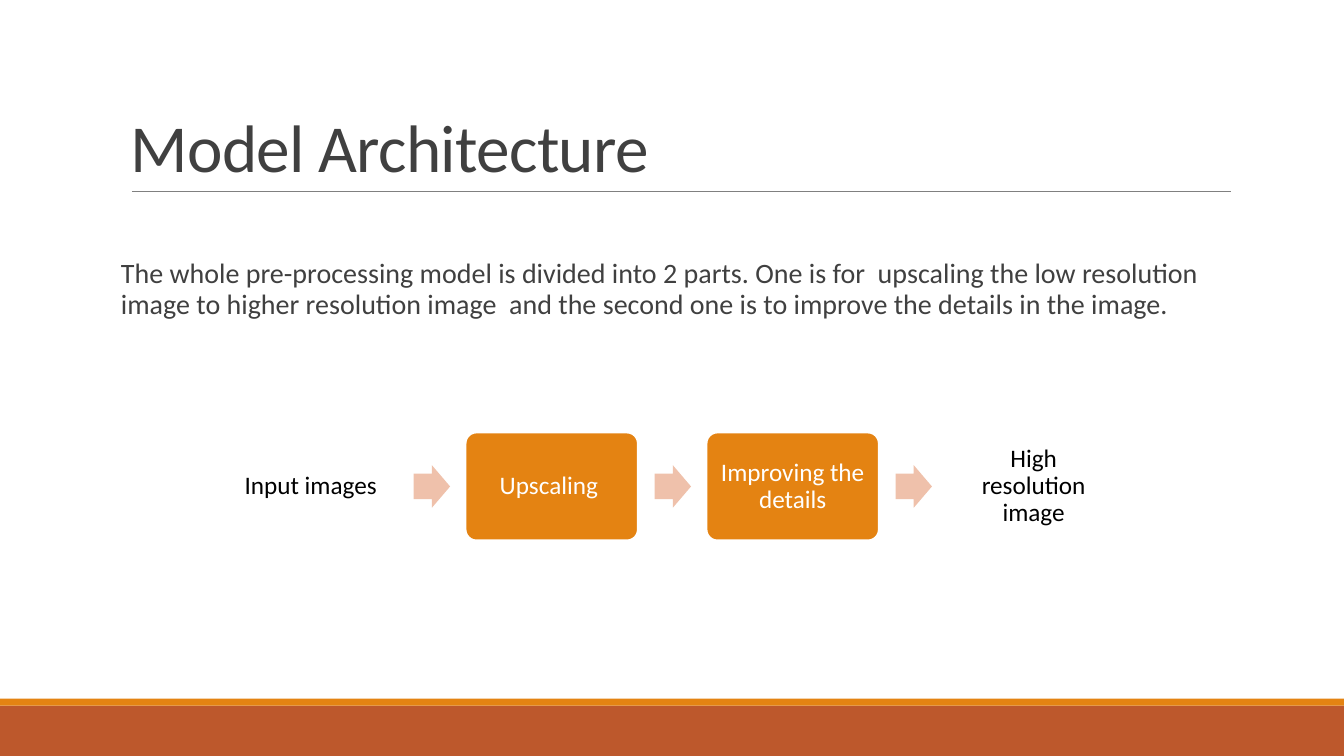
from pptx import Presentation
from pptx.dml.color import RGBColor
from pptx.enum.shapes import MSO_CONNECTOR, MSO_SHAPE
from pptx.enum.text import MSO_ANCHOR, PP_ALIGN
from pptx.oxml.ns import qn
from pptx.util import Pt
from lxml import etree

RECTANGLE = MSO_SHAPE.RECTANGLE
ROUNDED = MSO_SHAPE.ROUNDED_RECTANGLE
RIGHT_ARROW = MSO_SHAPE.RIGHT_ARROW
STRAIGHT = MSO_CONNECTOR.STRAIGHT
TOP, MIDDLE, BOTTOM = MSO_ANCHOR.TOP, MSO_ANCHOR.MIDDLE, MSO_ANCHOR.BOTTOM
LEFT, CENTER = PP_ALIGN.LEFT, PP_ALIGN.CENTER

FONT = "Calibri"
COLORS = {
    "white": "FFFFFF",
    "black": "000000",
    "text": "404040",
    "rule": "808080",
    "orange": "E48312",
    "rust": "BD582C",
    "arrow": "EFC1AB",
}
SLIDE_WIDTH, SLIDE_HEIGHT = 960, 540

STEPS = [
    ("Input images", "white", "black"),
    ("Upscaling ", "orange", "white"),
    ("Improving the details", "orange", "white"),
    ("High resolution image", "white", "black"),
]
STEP_LEFT, STEP_TOP, STEP_WIDTH, STEP_HEIGHT = 160.5, 309, 123, 77
STEP_PITCH = 172.1
ARROW_OFFSET, ARROW_WIDTH, ARROW_HEIGHT = 135, 26, 30.4


def color(name):
    return RGBColor.from_string(COLORS[name])


class SlideBuilder:
    """Draws styled elements on one slide, with lengths in points."""

    def __init__(self, slide):
        self.slide = slide

    def shape(self, kind, left, top, width, height, fill, outline=None):
        shape = self.slide.shapes.add_shape(
            kind, Pt(left), Pt(top), Pt(width), Pt(height))
        shape.shadow.inherit = False
        shape.fill.solid()
        shape.fill.fore_color.rgb = color(fill)
        if outline:
            shape.line.color.rgb = color(outline)
            shape.line.width = Pt(1.25)
        else:
            shape.line.fill.background()
        return shape

    def line(self, left, right, y):
        connector = self.slide.shapes.add_connector(
            STRAIGHT, Pt(left), Pt(y), Pt(right), Pt(y))
        connector.line.color.rgb = color("rule")
        connector.line.width = Pt(0.5)
        etree.SubElement(connector._element.spPr, qn("a:effectLst"))

    def label(self, shape, text, size, text_color, align=LEFT, anchor=TOP,
              insets=(7.2, 3.6), line_spacing=0.9):
        """Fills a shape with one paragraph; insets are (sides, top and bottom)."""
        frame = shape.text_frame
        frame.word_wrap = True
        frame.vertical_anchor = anchor
        frame.margin_left = frame.margin_right = Pt(insets[0])
        frame.margin_top = frame.margin_bottom = Pt(insets[1])
        paragraph = frame.paragraphs[0]
        paragraph.text = text
        paragraph.alignment = align
        paragraph.line_spacing = line_spacing
        paragraph.font.name = FONT
        paragraph.font.size = Pt(size)
        paragraph.font.color.rgb = color(text_color)
        return paragraph

    def text(self, left, top, width, height, *content, **style):
        box = self.slide.shapes.add_textbox(
            Pt(left), Pt(top), Pt(width), Pt(height))
        return self.label(box, *content, **style)

    def step(self, left, caption, fill, text_color):
        box = self.shape(ROUNDED, left, STEP_TOP, STEP_WIDTH, STEP_HEIGHT,
                         fill, "white")
        box.adjustments[0] = 0.1
        self.label(box, caption, 18, text_color, align=CENTER, anchor=MIDDLE,
                   insets=(5, 5))

    def arrow(self, left):
        top = STEP_TOP + (STEP_HEIGHT - ARROW_HEIGHT) / 2
        arrow = self.shape(RIGHT_ARROW, left, top, ARROW_WIDTH, ARROW_HEIGHT,
                           "arrow")
        arrow.adjustments[0] = 0.6
        arrow.adjustments[1] = 0.5


def main():
    presentation = Presentation()
    presentation.slide_width = Pt(SLIDE_WIDTH)
    presentation.slide_height = Pt(SLIDE_HEIGHT)
    slide = presentation.slides.add_slide(presentation.slide_layouts[6])
    builder = SlideBuilder(slide)

    builder.shape(RECTANGLE, 0, 504, SLIDE_WIDTH, 36, "rust")
    builder.shape(RECTANGLE, 0, 499, SLIDE_WIDTH, 5, "orange")
    builder.line(94.3, 879, 136.8)

    title = builder.text(86.4, 22.3, 792, 114.5, "Model Architecture", 48,
                         "text", anchor=BOTTOM, line_spacing=0.85)
    title.runs[0]._r.get_or_add_rPr().set("spc", "-50")
    builder.text(
        86.4, 182, 792, 280,
        "The whole pre-processing model is divided into 2 parts. One is for  "
        "upscaling the low resolution image to higher resolution image  and "
        "the second one is to improve the details in the image.",
        20, "text", insets=(0, 3.6))

    for index, step in enumerate(STEPS):
        left = STEP_LEFT + index * STEP_PITCH
        builder.step(left, *step)
        if index < len(STEPS) - 1:
            builder.arrow(left + ARROW_OFFSET)

    presentation.save("out.pptx")


if __name__ == "__main__":
    main()
